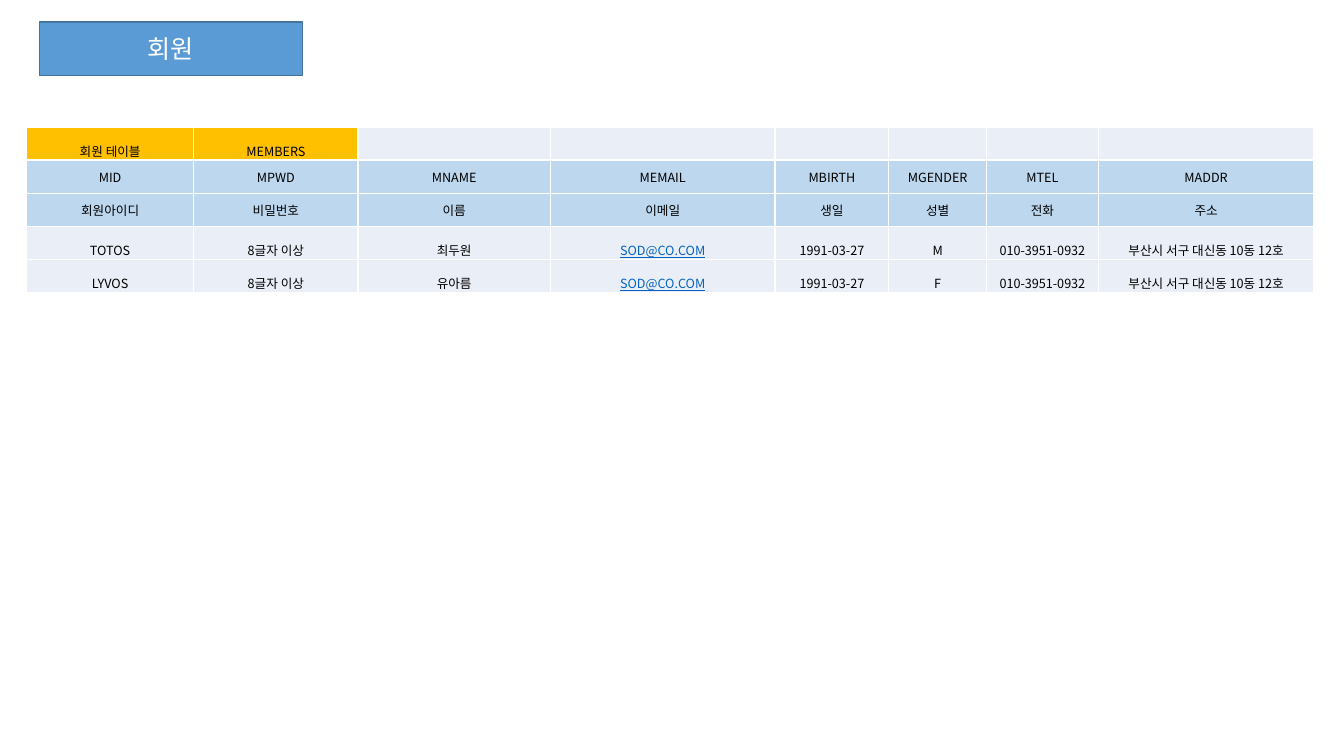
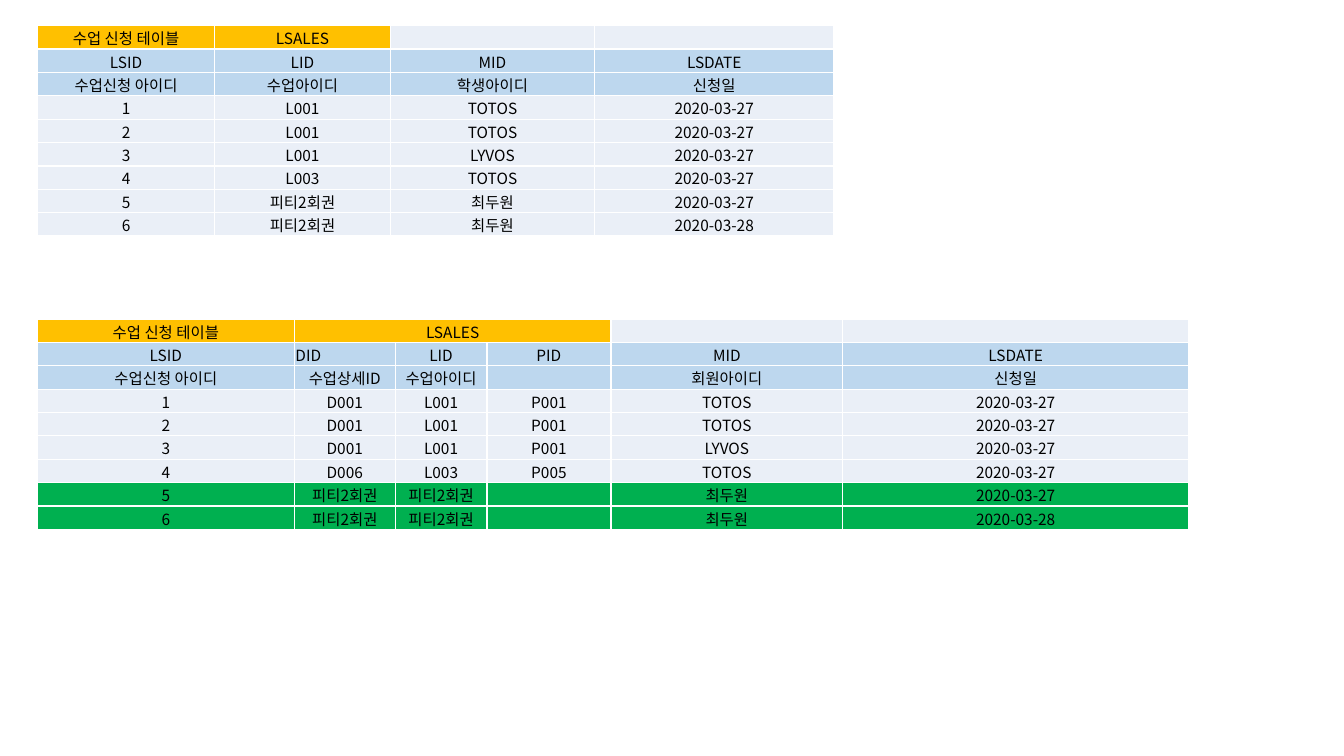
from dataclasses import dataclass

from pptx import Presentation
from pptx.dml.color import RGBColor
from pptx.enum.text import MSO_ANCHOR, MSO_AUTO_SIZE, PP_ALIGN
from pptx.oxml.ns import qn
from pptx.util import Inches, Pt
from lxml.etree import SubElement


# Shared look
@dataclass(frozen=True)
class Theme:
    font: str = "Noto Sans CJK KR"
    black: str = "000000"
    white: str = "FFFFFF"
    title_fill: str = "5B9BD5"
    title_line: str = "43739E"
    name_fill: str = "FFC000"
    header_fill: str = "BDD7EE"
    body_fill: str = "EAEFF7"
    highlight_fill: str = "00B050"
    link: str = "0563C1"
    title_size: int = 18
    wide_table_size: int = 9
    table_size: int = 11
    border: int = 1


THEME = Theme()
SLIDE_WIDTH, SLIDE_HEIGHT = Inches(13.33), Inches(7.5)
TITLE_ONLY, BLANK = 5, 6
HEADER_ROWS = (1, 2)

# Table contents: name row, column codes, column labels, records
ADDRESS = "부산시 서구 대신동 10동 12호"
MEMBERS = [
    ["회원 테이블", "MEMBERS"] + [""] * 6,
    ["MID", "MPWD", "MNAME", "MEMAIL", "MBIRTH", "MGENDER", "MTEL", "MADDR"],
    ["회원아이디", "비밀번호", "이름", "이메일", "생일", "성별", "전화", "주소"],
] + [
    [member, "8글자 이상", name, "SOD@CO.COM", "1991-03-27", gender,
     "010-3951-0932", ADDRESS]
    for member, name, gender in (("TOTOS", "최두원", "M"), ("LYVOS", "유아름", "F"))
]

# Each sale: number, detail, lesson, place, member, date
SALES = [
    ["1", "D001", "L001", "P001", "TOTOS", "2020-03-27"],
    ["2", "D001", "L001", "P001", "TOTOS", "2020-03-27"],
    ["3", "D001", "L001", "P001", "LYVOS", "2020-03-27"],
    ["4", "D006", "L003", "P005", "TOTOS", "2020-03-27"],
    ["5", "피티2회권", "피티2회권", "", "최두원", "2020-03-27"],
    ["6", "피티2회권", "피티2회권", "", "최두원", "2020-03-28"],
]
SIMPLE_SALES = [
    ["수업 신청 테이블", "LSALES", "", ""],
    ["LSID", "LID", "MID", "LSDATE"],
    ["수업신청 아이디", "수업아이디", "학생아이디", "신청일"],
] + [[number, lesson, member, date] for number, _, lesson, _, member, date in SALES]
DETAILED_SALES = [
    ["수업 신청 테이블", "LSALES", "", "", "", ""],
    ["LSID", "DID", "LID", "PID", "MID", "LSDATE"],
    ["수업신청 아이디", "수업상세ID", "수업아이디", "", "회원아이디", "신청일"],
] + SALES


def place(left, top, width, height):
    """Turn percentages of the slide into a frame."""
    return (int(SLIDE_WIDTH * left / 100), int(SLIDE_HEIGHT * top / 100),
            int(SLIDE_WIDTH * width / 100), int(SLIDE_HEIGHT * height / 100))


def color(value):
    return RGBColor.from_string(value)


def add_run(paragraph, text, size, text_color, underline=False):
    run = paragraph.add_run()
    run.text = text
    run.font.name = THEME.font
    run.font.size = Pt(size)
    run.font.bold = False
    run.font.underline = underline
    run.font.color.rgb = color(text_color)
    SubElement(run.font._element, qn("a:ea"), typeface=THEME.font)


def add_title(slide, text, frame):
    title = slide.shapes.title
    title.left, title.top, title.width, title.height = frame
    title.fill.solid()
    title.fill.fore_color.rgb = color(THEME.title_fill)
    title.line.color.rgb = color(THEME.title_line)
    title.line.width = Pt(1)
    text_frame = title.text_frame
    text_frame.auto_size = MSO_AUTO_SIZE.NONE
    text_frame.vertical_anchor = MSO_ANCHOR.MIDDLE
    paragraph = text_frame.paragraphs[0]
    paragraph.alignment = PP_ALIGN.CENTER
    add_run(paragraph, text, THEME.title_size, THEME.white)


def add_borders(cell):
    properties = cell._tc.get_or_add_tcPr()
    for side in ("a:lnL", "a:lnR", "a:lnT", "a:lnB"):
        line = SubElement(properties, qn(side), w=str(Pt(THEME.border)))
        fill = SubElement(line, qn("a:solidFill"))
        SubElement(fill, qn("a:srgbClr"), val=THEME.white)


def fill_cell(cell, text, size, fill, anchor, alignment):
    add_borders(cell)
    cell.fill.solid()
    cell.fill.fore_color.rgb = color(fill)
    cell.vertical_anchor = anchor
    cell.margin_left = cell.margin_right = cell.margin_top = Inches(0.01)
    cell.margin_bottom = 0
    paragraph = cell.text_frame.paragraphs[0]
    paragraph.alignment = alignment
    if text:
        is_link = "@" in text
        add_run(paragraph, text, size, THEME.link if is_link else THEME.black, is_link)
    else:
        # An empty cell keeps the type size, so its row stays low
        SubElement(paragraph._p, qn("a:endParaRPr"), sz=str(size * 100))


def row_fill(row, text, highlighted):
    if row in HEADER_ROWS:
        return THEME.header_fill
    if row == 0 and text:
        return THEME.name_fill
    return THEME.highlight_fill if row in highlighted else THEME.body_fill


def add_data_table(slide, frame, weights, rows, size, highlighted=(), left_cells=(),
                   name_span=1):
    left, top, width, height = frame
    table = slide.shapes.add_table(len(rows), len(weights), *frame).table
    table.first_row = table.horz_banding = False
    for column, weight in zip(table.columns, weights):
        column.width = int(width * weight / sum(weights))
    for row in table.rows:
        row.height = int(height / len(rows))
    for row, texts in enumerate(rows):
        anchor = MSO_ANCHOR.MIDDLE if row in HEADER_ROWS else MSO_ANCHOR.BOTTOM
        for column, text in enumerate(texts):
            alignment = PP_ALIGN.LEFT if (row, column) in left_cells else PP_ALIGN.CENTER
            fill_cell(table.cell(row, column), text, size,
                      row_fill(row, text, highlighted), anchor, alignment)
    if name_span > 1:
        table.cell(0, 1).merge(table.cell(0, name_span))


def add_members_slide(presentation):
    slide = presentation.slides.add_slide(presentation.slide_layouts[TITLE_ONLY])
    add_title(slide, "회원", place(2.93, 2.93, 19.58, 7.07))
    add_data_table(slide, place(1.97, 16.8, 95.8, 21.87),
                   [1.66, 1.63, 1.91, 2.23, 1.13, 0.97, 1.11, 2.14],
                   MEMBERS, THEME.wide_table_size)


def add_sales_slide(presentation):
    slide = presentation.slides.add_slide(presentation.slide_layouts[BLANK])
    # Simple sales table above, detailed one below
    add_data_table(slide, place(2.78, 3.4, 59.26, 27.6), [1.76, 1.74, 2.03, 2.37],
                   SIMPLE_SALES, THEME.table_size)
    add_data_table(slide, place(2.78, 42.2, 85.67, 27.6),
                   [2.55, 1, 0.91, 1.23, 2.3, 3.43],
                   DETAILED_SALES, THEME.table_size,
                   highlighted=(7, 8), left_cells={(1, 1)}, name_span=3)


def main():
    presentation = Presentation()
    presentation.slide_width, presentation.slide_height = SLIDE_WIDTH, SLIDE_HEIGHT
    add_members_slide(presentation)
    add_sales_slide(presentation)
    presentation.save("out.pptx")


if __name__ == "__main__":
    main()
